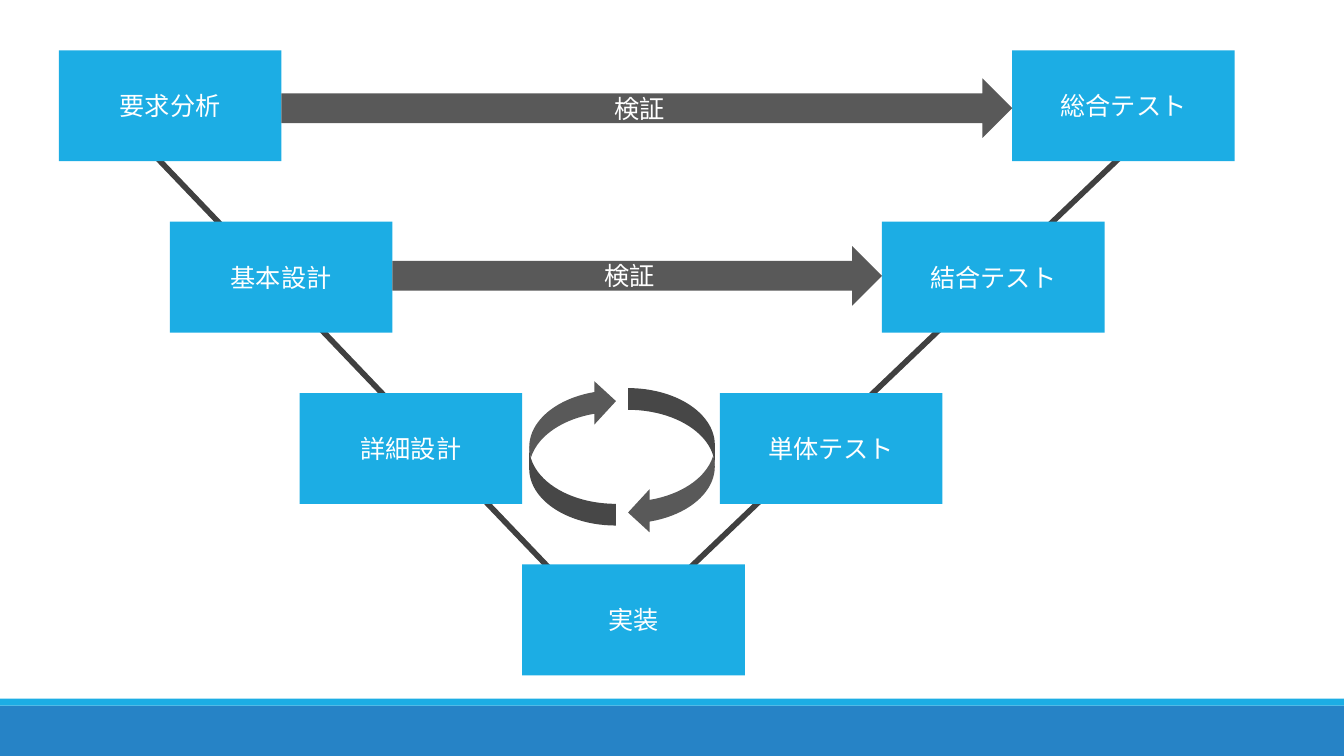
from dataclasses import dataclass

from lxml.etree import SubElement
from pptx import Presentation
from pptx.dml.color import RGBColor
from pptx.enum.shapes import MSO_CONNECTOR as Connector, MSO_SHAPE as Preset
from pptx.enum.text import MSO_ANCHOR as Anchor, PP_ALIGN as Align
from pptx.oxml.ns import qn
from pptx.shapes.autoshape import Shape
from pptx.util import Pt

SKY = RGBColor(0x1C, 0xAD, 0xE4)
BLUE = RGBColor(0x26, 0x83, 0xC6)
GRAY = RGBColor(0x59, 0x59, 0x59)
DARK = RGBColor(0x40, 0x40, 0x40)
WHITE = RGBColor(0xFF, 0xFF, 0xFF)

PAGE_WIDTH, PAGE_HEIGHT = 960, 540
BOX_WIDTH, BOX_HEIGHT = 159, 79.2
FIRST_TOP, ROW_STEP = 36, 122.4
ARROW_HEIGHT = 42.5
LABEL_FORMAT = {"name": "Calibri", "size": Pt(18)}


@dataclass
class Block:
    left: float
    top: float
    width: float
    height: float
    fill: RGBColor
    text: str = ""
    preset: Preset = Preset.RECTANGLE
    rotation: float = 0


@dataclass
class Phase:
    text: str
    left: float
    row: int

    @property
    def top(self) -> float:
        return FIRST_TOP + self.row * ROW_STEP


@dataclass
class Verification:
    source: Phase
    target: Phase
    top: float


@dataclass
class Leg:
    begin: tuple[float, float]
    end: tuple[float, float]


deck = Presentation()
deck.slide_width, deck.slide_height = Pt(PAGE_WIDTH), Pt(PAGE_HEIGHT)
page = deck.slides.add_slide(deck.slide_layouts[6])


def draw_block(block: Block) -> Shape:
    box = page.shapes.add_shape(block.preset, Pt(block.left), Pt(block.top),
                                Pt(block.width), Pt(block.height))
    box.rotation = block.rotation
    box.shadow.inherit = False
    box.fill.solid()
    box.fill.fore_color.rgb = block.fill
    box.line.fill.background()
    if block.text:
        box.text_frame.vertical_anchor = Anchor.MIDDLE
        para = box.text_frame.paragraphs[0]
        para.alignment = Align.CENTER
        span = para.add_run()
        span.text = block.text
        for name, value in LABEL_FORMAT.items():
            setattr(span.font, name, value)
        span.font.color.rgb = WHITE
    return box


def draw_leg(leg: Leg) -> None:
    line = page.shapes.add_connector(Connector.STRAIGHT,
                                     *map(Pt, leg.begin + leg.end))
    line.line.color.rgb = DARK
    line.line.width = Pt(4)
    SubElement(line._element.spPr, qn("a:effectLst"))


def draw_phase(phase: Phase) -> None:
    draw_block(Block(phase.left, phase.top, BOX_WIDTH, BOX_HEIGHT, SKY, phase.text))


def draw_verification(check: Verification) -> None:
    start = check.source.left + BOX_WIDTH
    draw_block(Block(start, check.top, check.target.left - start, ARROW_HEIGHT,
                     GRAY, "検証", Preset.RIGHT_ARROW))


# Footer bands
draw_block(Block(0, 504, PAGE_WIDTH, 36, BLUE))
draw_block(Block(0, 499, PAGE_WIDTH, 5, SKY))

# Legs of the V, behind the boxes
for leg in (Leg((482.4, 415.5), (827.3, 86.4)), Leg((98.6, 98.6), (427.7, 442.8))):
    draw_leg(leg)

# Development phases down the left, tests up the right
requirements = Phase("要求分析", 42, 0)
basic_design = Phase("基本設計", 121.3, 1)
detailed_design = Phase("詳細設計", 214, 2)
implementation = Phase("実装", 373, 3)
unit_test = Phase("単体テスト", 514.2, 2)
integration_test = Phase("結合テスト", 630, 1)
system_test = Phase("総合テスト", 723, 0)
for phase in (requirements, basic_design, detailed_design, implementation,
              unit_test, integration_test, system_test):
    draw_phase(phase)

# Verification arrows between matching phases
for check in (Verification(requirements, system_test, 56),
              Verification(basic_design, integration_test, 175.8)):
    draw_verification(check)

# Cycle between detailed design and unit test
for left, top, rotation in ((448.6, 277.2, 0), (378, 271, 180)):
    draw_block(Block(left, top, 62, 104.4, GRAY,
                     preset=Preset.CURVED_LEFT_ARROW, rotation=rotation))

deck.save("out.pptx")
